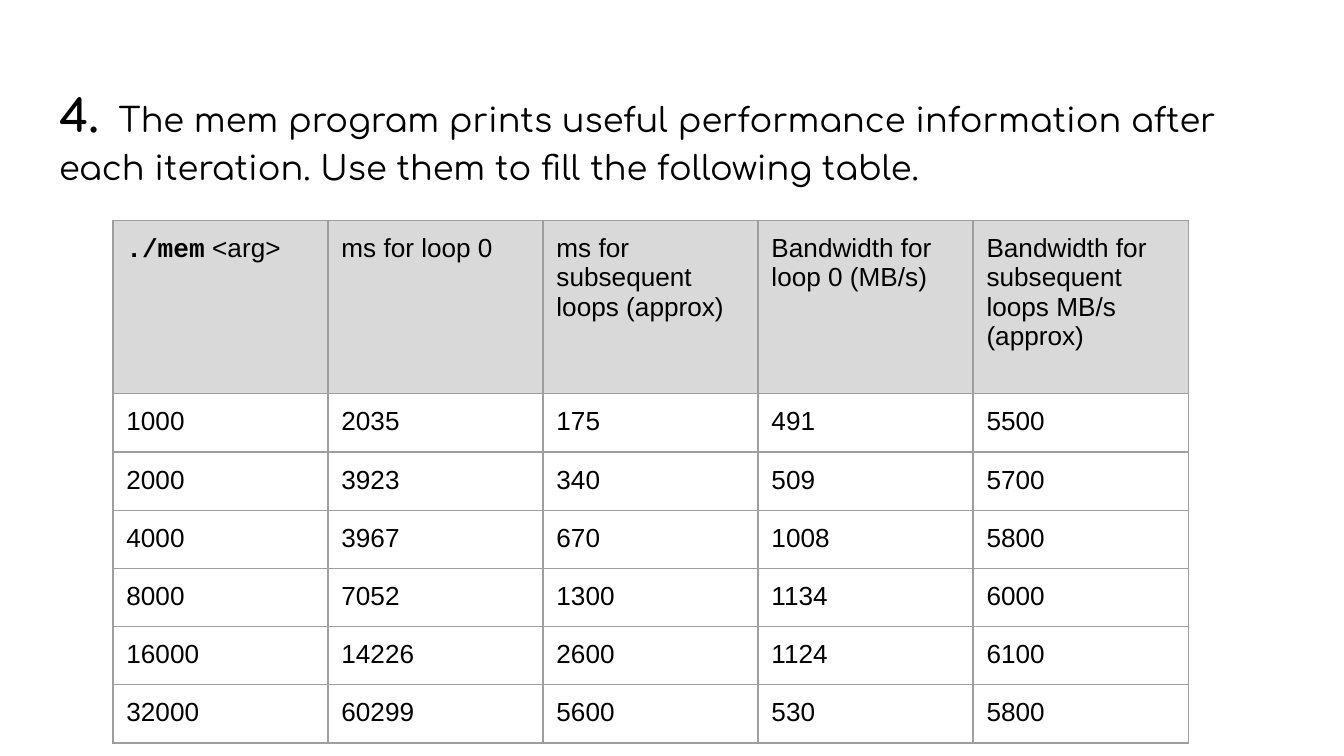
import lxml.etree
import pptx
import pptx.dml.color
import pptx.enum.text
import pptx.oxml.ns
import pptx.util

Inches = pptx.util.Inches
Pt = pptx.util.Pt

BLACK = "000000"
HEADER_FILL = "D9D9D9"
BORDER = "9E9E9E"

HEADERS = [
    "./mem <arg>",
    "ms for loop 0",
    "ms for subsequent loops (approx)",
    "Bandwidth for loop 0 (MB/s)",
    "Bandwidth for subsequent loops MB/s (approx)",
]
MEASUREMENTS = [
    (1000, 2035, 175, 491, 5500),
    (2000, 3923, 340, 509, 5700),
    (4000, 3967, 670, 1008, 5800),
    (8000, 7052, 1300, 1134, 6000),
    (16000, 14226, 2600, 1124, 6100),
    (32000, 60299, 5600, 530, 5800),
]


def color(hex_value):
    return pptx.dml.color.RGBColor.from_string(hex_value)


def add_run(paragraph, text, font_name, size, bold=False):
    run = paragraph.add_run()
    run.text = text
    run.font.name = font_name
    run.font.size = Pt(size)
    run.font.bold = bold
    run.font.color.rgb = color(BLACK)


def set_margins(target):
    for side in ("left", "right", "top", "bottom"):
        setattr(target, f"margin_{side}", Inches(0.1))


def set_borders(cell, hex_value, width):
    properties = cell._tc.get_or_add_tcPr()
    for edge in ("a:lnL", "a:lnR", "a:lnT", "a:lnB"):
        line = lxml.etree.SubElement(
            properties, pptx.oxml.ns.qn(edge), w=str(Pt(width)))
        fill = lxml.etree.SubElement(line, pptx.oxml.ns.qn("a:solidFill"))
        lxml.etree.SubElement(
            fill, pptx.oxml.ns.qn("a:srgbClr"), val=hex_value)


def add_question(slide, left, top, width, height):
    title = slide.shapes.title
    title.left, title.top = Inches(left), Inches(top)
    title.width, title.height = Inches(width), Inches(height)
    text_frame = title.text_frame
    text_frame.word_wrap = True
    text_frame.auto_size = pptx.enum.text.MSO_AUTO_SIZE.NONE
    text_frame.vertical_anchor = pptx.enum.text.MSO_ANCHOR.TOP
    set_margins(text_frame)
    paragraph = text_frame.paragraphs[0]
    paragraph.alignment = pptx.enum.text.PP_ALIGN.LEFT
    paragraph.line_spacing = 1.15
    paragraph.space_before = Pt(0)
    add_run(paragraph, "4.", "Comfortaa", 24, bold=True)
    add_run(paragraph,
            "  The mem program prints useful performance information after "
            "each iteration. Use them to fill the following table.",
            "Comfortaa", 18)


def fill_cell(cell, text, is_header):
    set_margins(cell)
    set_borders(cell, BORDER, 0.75)
    if is_header:
        cell.fill.solid()
        cell.fill.fore_color.rgb = color(HEADER_FILL)
    else:
        cell.fill.background()
    paragraph = cell.text_frame.paragraphs[0]
    # The command name is set as code
    command = "./mem"
    if text.startswith(command):
        add_run(paragraph, command, "Courier New", 14, bold=True)
        text = text.removeprefix(command)
    add_run(paragraph, text, "Arial", 14)


def add_results_table(slide, left, top, width, header_height, body_height):
    rows = [HEADERS, *MEASUREMENTS]
    row_height = body_height / len(MEASUREMENTS)
    table = slide.shapes.add_table(
        len(rows), len(HEADERS), Inches(left), Inches(top),
        Inches(width), Inches(header_height + body_height)).table
    table.horz_banding = False
    for row_index, values in enumerate(rows):
        is_header = row_index == 0
        table.rows[row_index].height = Inches(
            header_height if is_header else row_height)
        for column_index, value in enumerate(values):
            fill_cell(table.cell(row_index, column_index), str(value), is_header)


def main():
    presentation = pptx.Presentation()
    # Widescreen, 16:9
    presentation.slide_width = Inches(10)
    presentation.slide_height = presentation.slide_width * 9 // 16
    # Title Only layout
    slide = presentation.slides.add_slide(presentation.slide_layouts[5])
    # Question
    add_question(slide, 0.34, 0.49, 9.32, 1.08)
    # Measurements
    add_results_table(slide, 0.84, 1.64, 8, 1.29, 2.6)
    presentation.save("out.pptx")


if __name__ == "__main__":
    main()
